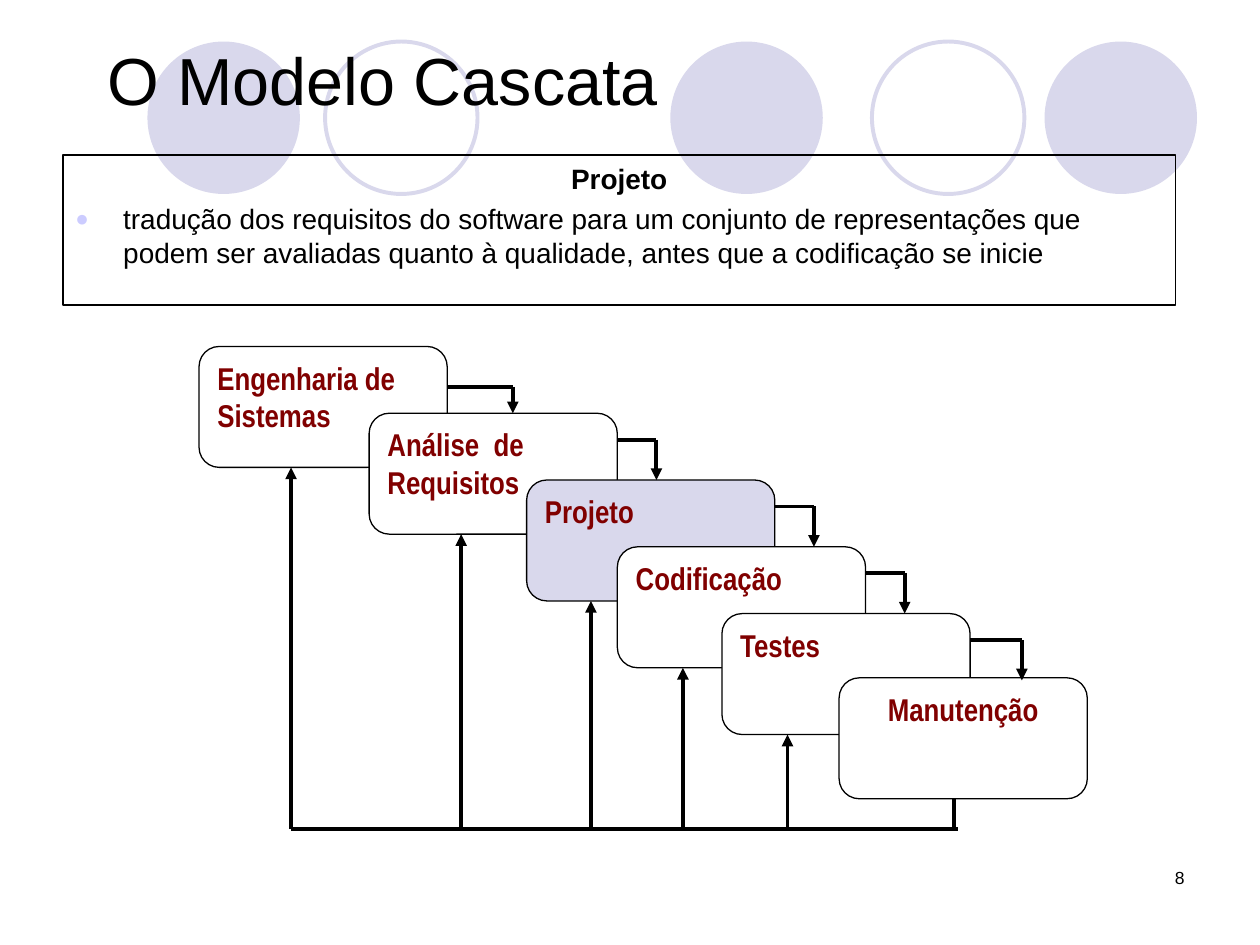
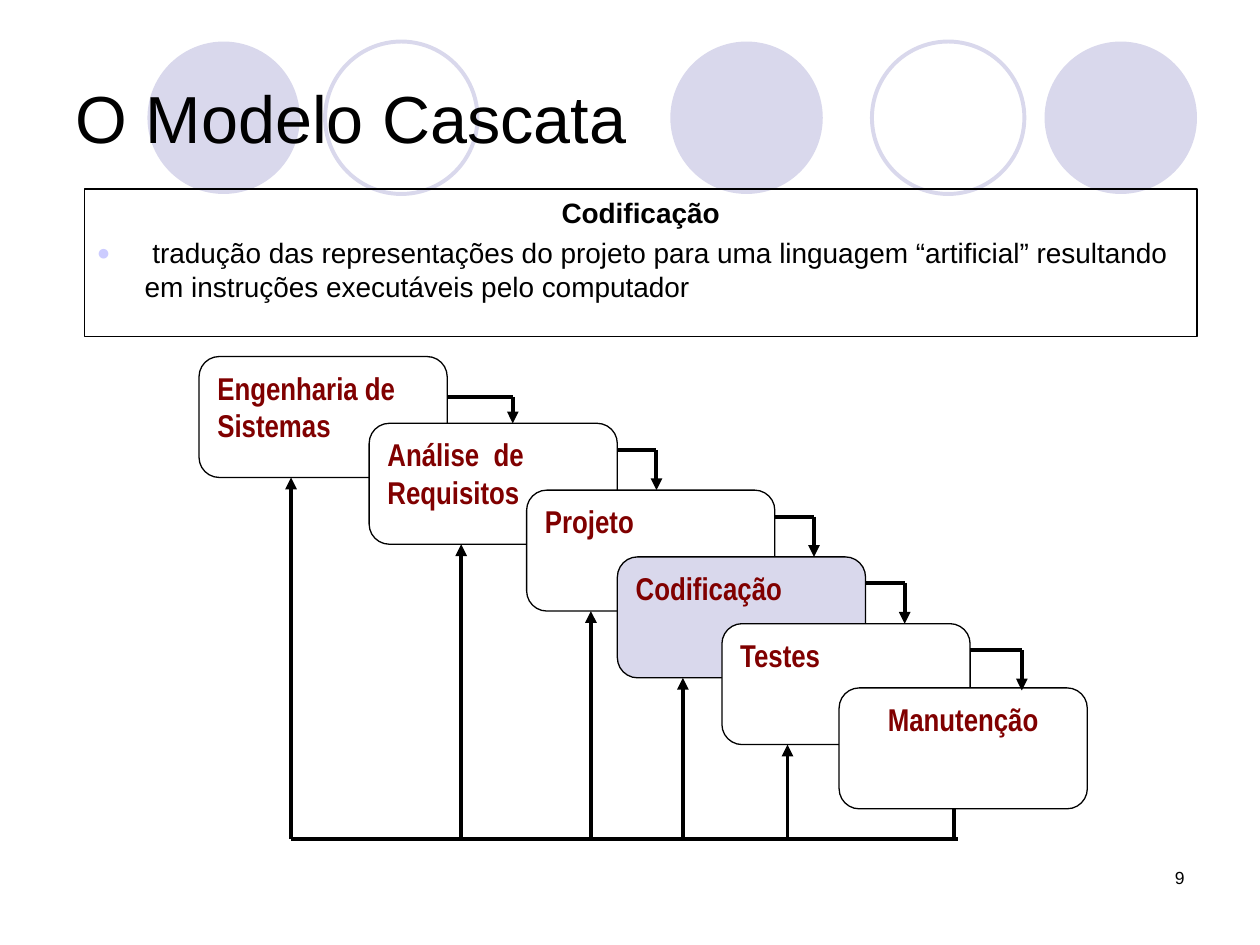
from collections import namedtuple

from pptx import Presentation
from pptx.dml.color import RGBColor
from pptx.enum.shapes import MSO_CONNECTOR as Link, MSO_SHAPE as Shape
from pptx.enum.text import MSO_ANCHOR as Anchor, MSO_AUTO_SIZE as Fit, PP_ALIGN as Align
from pptx.oxml import parse_xml
from pptx.oxml.ns import nsdecls
from pptx.util import Inches, Pt

COLORS = {"black": "000000", "white": "FFFFFF", "lilac": "D9D8EC",
          "maroon": "800000", "bullet": "CCCCFF"}
FORMATS = {
    "title": {"size": Pt(38), "name": "Arial", "bold": False, "color": "black"},
    "heading": {"size": Pt(16), "name": "Arial", "bold": True, "color": "black"},
    "body": {"size": Pt(16), "name": "Arial", "bold": False, "color": "black"},
    "stage": {"size": Pt(18), "name": "Arial Narrow", "bold": True, "color": "maroon"},
    "number": {"size": Pt(10), "name": "Arial", "bold": False, "color": "black"},
}
FRAME = {"margin_left": Inches(0.1), "margin_right": Inches(0.1),
         "margin_top": Inches(0.05), "margin_bottom": Inches(0.05),
         "word_wrap": True, "auto_size": Fit.NONE}

CIRCLE = 1.21
CIRCLES = [(1.17, True), (2.58, False), (5.32, True), (6.92, False), (8.29, True)]

STAGE_WIDTH, STAGE_HEIGHT, STAGE_STEP = 1.97, 0.96, 0.53
LAST_STAGE_LIFT = 0.02
BUS_DROP, BUS_END = 3.83, 7.6
RETURN_X = 7.57
Stage = namedtuple("Stage", "name left exit_drop elbow_reach feedback_inset",
                   defaults=(0, 0, 0))
STAGES = [
    Stage("Engenharia de Sistemas", 1.58, 0.32, 0.52, 0.73),
    Stage("Análise  de Requisitos", 2.93, 0.21, 0.31, 0.73),
    Stage("Projeto", 4.18, 0.21, 0.31, 0.51),
    Stage("Codificação", 4.9, 0.21, 0.31, 0.52),
    Stage("Testes", 5.73, 0.21, 0.41, 0.52),
    Stage("Manutenção", 6.66),
]

FIRST_NUMBER = 8
PAGES = [
    {"title": (0.75, 0, 8.83, 1.25), "panel": (0.5, 1.23, 8.83, 1.19),
     "cascade_top": 2.75, "current": "Projeto",
     "text": "tradução dos requisitos do software para um conjunto de representações "
             "que podem ser avaliadas quanto à qualidade, antes que a codificação se inicie"},
    {"title": (0.5, 0.3, 9, 1.25), "panel": (0.67, 1.5, 8.83, 1.17),
     "cascade_top": 2.83, "current": "Codificação",
     "text": " tradução das representações do projeto para uma linguagem “artificial” "
             "resultando em instruções executáveis pelo computador"},
]


def inches(values):
    return [Inches(value) for value in values]


def rgb(name):
    return RGBColor.from_string(COLORS[name])


class Builder:
    def __init__(self):
        self.deck = Presentation()
        self.deck.slide_width, self.deck.slide_height = Inches(10), Inches(7.5)
        self.deck.element.set("firstSlideNum", str(FIRST_NUMBER))
        self.page = None

    def style(self, font, kind):
        for key, value in FORMATS[kind].items():
            if key == "color":
                font.color.rgb = rgb(value)
            else:
                setattr(font, key, value)

    def frame(self, box, anchor=Anchor.TOP):
        for key, value in FRAME.items():
            setattr(box.text_frame, key, value)
        box.text_frame.vertical_anchor = anchor
        return box.text_frame

    def add_text(self, para, text, kind, align=Align.LEFT):
        para.alignment = align
        span = para.add_run()
        span.text = text
        self.style(span.font, kind)

    def shape(self, preset, place, fill=None, line=None, width=0.75):
        box = self.page.shapes.add_shape(preset, *inches(place))
        box.shadow.inherit = False
        if fill:
            box.fill.solid()
            box.fill.fore_color.rgb = rgb(fill)
        else:
            box.fill.background()
        if line:
            box.line.color.rgb = rgb(line)
            box.line.width = Pt(width)
        else:
            box.line.fill.background()
        return box

    def line(self, start, end, arrow=False):
        link = self.page.shapes.add_connector(Link.STRAIGHT, *inches(start + end))
        link.line.color.rgb = rgb("black")
        link.line.width = Pt(2.25)
        if arrow:
            link.line._get_or_add_ln().append(
                parse_xml(f'<a:tailEnd {nsdecls("a")} type="triangle"/>'))
        link.element.spPr.append(parse_xml(f'<a:effectLst {nsdecls("a")}/>'))

    def start_page(self, title_place):
        self.page = self.deck.slides.add_slide(self.deck.slide_layouts[5])
        title = self.page.shapes.title
        title.left, title.top, title.width, title.height = inches(title_place)
        self.add_text(self.frame(title, Anchor.MIDDLE).paragraphs[0],
                      "O Modelo Cascata", "title")
        for left, filled in CIRCLES:
            color = {"fill": "lilac"} if filled else {"line": "lilac", "width": 2.25}
            circle = self.shape(Shape.OVAL, (left, 0.33, CIRCLE, CIRCLE), **color)
            title.element.addprevious(circle.element)

    def panel(self, place, heading, text):
        frame = self.frame(self.shape(Shape.RECTANGLE, place, line="black"))
        first, second = frame.paragraphs[0], frame.add_paragraph()
        self.add_text(first, heading, "heading", Align.CENTER)
        self.add_text(second, text, "body")
        for para in (first, second):
            para.space_before = Pt(4)
            props = para._p.get_or_add_pPr()
            props.set("marL", str(Inches(0.38)))
            props.set("indent", str(-Inches(0.38)))
        for tag in (f'buClr {nsdecls("a")}><a:srgbClr val="{COLORS["bullet"]}"/></a:buClr',
                    f'buSzPct {nsdecls("a")} val="80000"/',
                    f'buFont {nsdecls("a")} typeface="Arial"/',
                    f'buChar {nsdecls("a")} char="●"/'):
            second._p.pPr.append(parse_xml(f"<a:{tag}>"))

    def cascade(self, top, current):
        last = len(STAGES) - 1
        tops = [top + STAGE_STEP * index for index in range(len(STAGES))]
        bus = top + BUS_DROP
        for index, stage in enumerate(STAGES):
            lift = LAST_STAGE_LIFT if index == last else 0
            box = self.shape(Shape.ROUNDED_RECTANGLE,
                             (stage.left, tops[index] - lift, STAGE_WIDTH, STAGE_HEIGHT),
                             "lilac" if stage.name == current else "white", "black")
            box.adjustments[0] = 0.167
            align = Align.CENTER if index == last else Align.LEFT
            self.add_text(self.frame(box).paragraphs[0], stage.name, "stage", align)
        for index, stage in enumerate(STAGES[:last]):
            side, level = stage.left + STAGE_WIDTH, tops[index] + stage.exit_drop
            elbow, feedback = side + stage.elbow_reach, stage.left + stage.feedback_inset
            self.line((side, level), (elbow, level))
            self.line((elbow, level), (elbow, tops[index + 1]), arrow=True)
            self.line((feedback, bus), (feedback, tops[index] + STAGE_HEIGHT), arrow=True)
        self.line((RETURN_X, tops[last] - LAST_STAGE_LIFT + STAGE_HEIGHT), (RETURN_X, bus))
        self.line((STAGES[0].left + STAGES[0].feedback_inset, bus), (BUS_END, bus))

    def number(self, value):
        box = self.page.shapes.add_textbox(*inches((7.17, 6.83, 2.33, 0.5)))
        para = self.frame(box).paragraphs[0]
        self.add_text(para, str(value), "number", Align.RIGHT)
        span = para.runs[0]._r
        field = parse_xml(f'<a:fld {nsdecls("a")} type="slidenum" '
                          'id="{B6F15528-21DE-4FAA-801E-634DDDAF4B2B}"/>')
        span.addprevious(field)
        for part in list(span):
            field.append(part)
        para._p.remove(span)


def main():
    builder = Builder()
    for value, content in enumerate(PAGES, FIRST_NUMBER):
        builder.start_page(content["title"])
        builder.panel(content["panel"], content["current"], content["text"])
        builder.cascade(content["cascade_top"], content["current"])
        builder.number(value)
    builder.deck.save("out.pptx")


if __name__ == "__main__":
    main()
